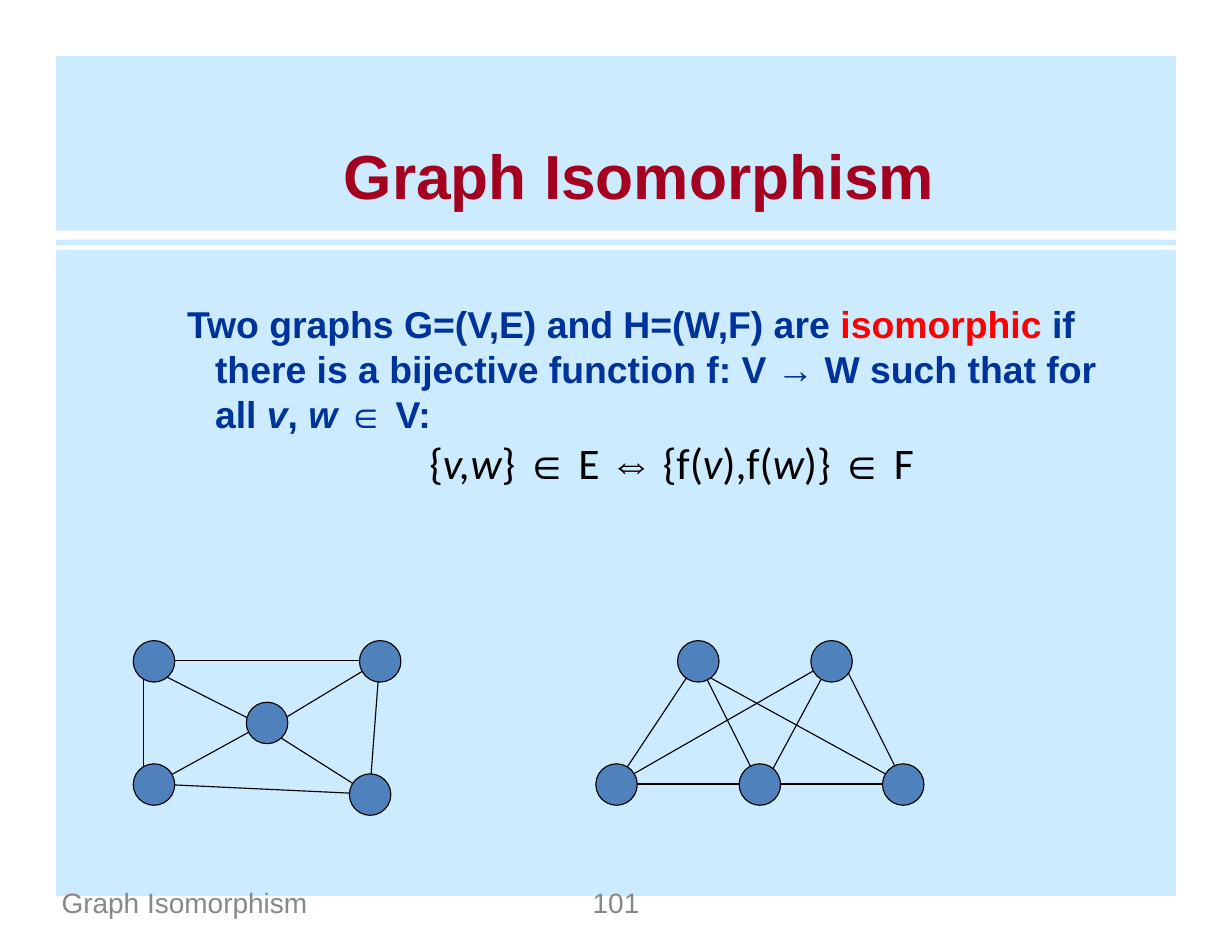
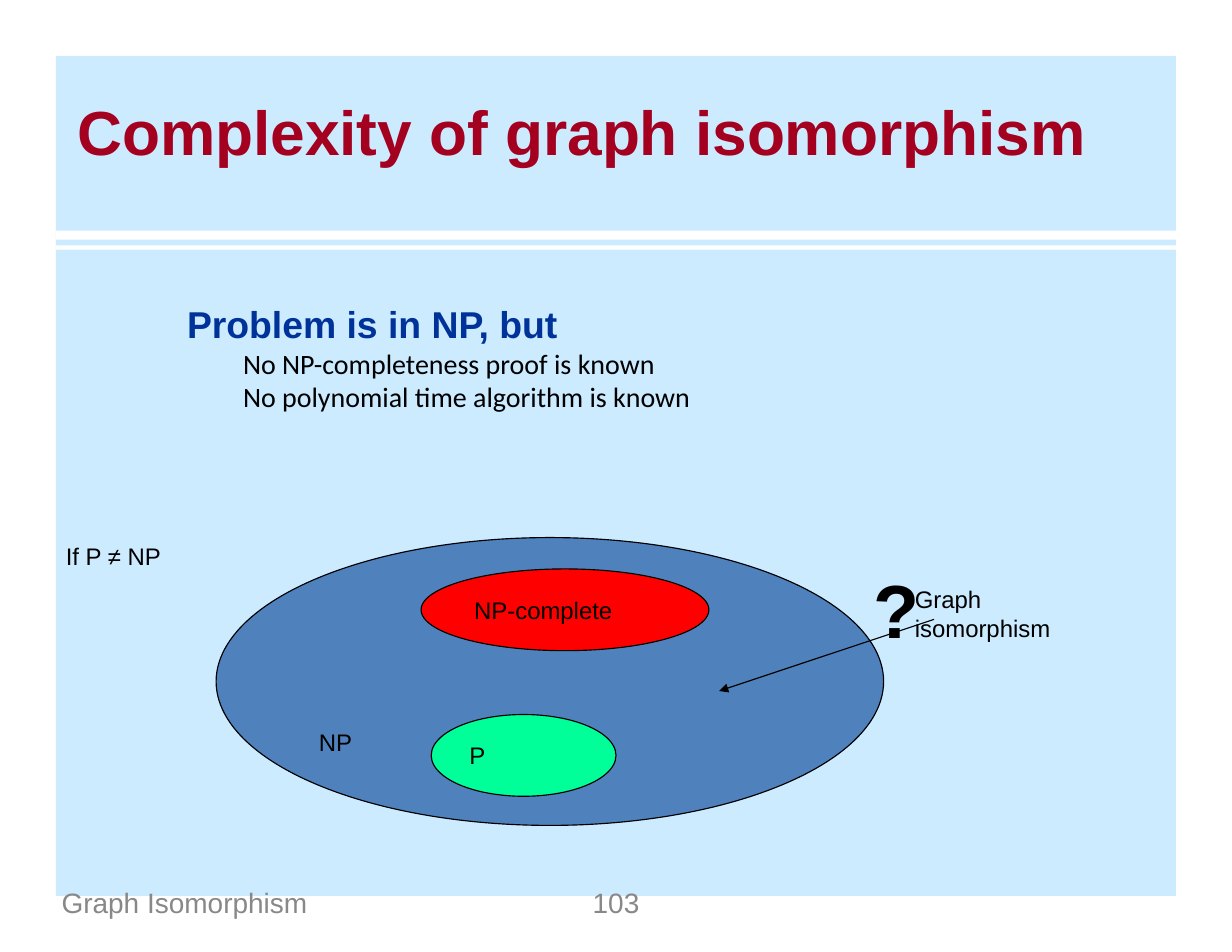
import pptx
import pptx.util
import pptx.dml.color
import pptx.enum.shapes
import pptx.enum.text
import pptx.oxml.ns
import lxml.etree

Inches = pptx.util.Inches
SHAPE = pptx.enum.shapes.MSO_SHAPE
CENTER = pptx.enum.text.PP_ALIGN.CENTER
LEFT = pptx.enum.text.PP_ALIGN.LEFT
COLORS = {
    "white": "FFFFFF", "panel": "CCEBFF", "title": "A40020", "body": "003399",
    "black": "000000", "footer": "888888", "node": "4F81BD", "red": "FF0000", "green": "00FF99",
}


def write(paragraph, text, size=15.4, font="Arial", color="black", bold=False, italic=False):
    run = paragraph.add_run()
    run.text = text
    run.font.size = pptx.util.Pt(size)
    run.font.name = font
    run.font.bold = bold
    run.font.italic = italic
    run.font.color.rgb = pptx.dml.color.RGBColor.from_string(COLORS[color])


def add_filled(slide, kind, box, color, outlined=False):
    shape = slide.shapes.add_shape(kind, *map(Inches, box))
    shape.shadow.inherit = False
    shape.fill.solid()
    shape.fill.fore_color.rgb = pptx.dml.color.RGBColor.from_string(COLORS[color])
    if outlined:
        shape.line.color.rgb = pptx.dml.color.RGBColor.from_string(COLORS["black"])
        shape.line.width = pptx.util.Pt(0.75)
    else:
        shape.line.fill.background()
    return shape


statement = {"size": 24, "color": "body", "bold": True}
formula = {"size": 28, "font": "Calibri"}
symbol = {"size": 28}
detail = {"size": 18, "font": "Calibri"}

definition = [
    (0, LEFT, [
        ("Two graphs G=(V,E) and H=(W,F) are ", statement),
        ("isomorphic", {**statement, "color": "red"}),
        (" if there is a bijective function f: V → W such that for all ", statement),
        ("v", {**statement, "italic": True}),
        (", ", statement),
        ("w ", {**statement, "italic": True}),
        ("∈ V:", statement),
    ]),
    (1, CENTER, [
        ("{", formula), ("v,w", {**formula, "italic": True}), ("} ", formula), ("∈", symbol),
        (" E ", formula), ("⇔", symbol), (" {f(", formula), ("v", {**formula, "italic": True}),
        ("),f(", formula), ("w", {**formula, "italic": True}), (")} ", formula), ("∈", symbol),
        (" F ", formula),
    ]),
]
complexity = [
    (0, LEFT, [("Problem is in NP, but", statement)]),
    (1, LEFT, [("No NP-completeness proof is known", detail)]),
    (1, LEFT, [("No polynomial time algorithm is known", detail)]),
]

edges = [
    (7.42, 5.9, 5.5, 7), (6.23, 5.99, 8.07, 7), (7.52, 5.9, 8.07, 7), (7.42, 5.9, 6.78, 7.09),
    (6.23, 5.9, 6.78, 7), (6.23, 5.9, 5.5, 7), (5.41, 7, 8.07, 7),
    (2.29, 6.45, 3.3, 7.09), (3.39, 5.9, 2.48, 6.45), (1.38, 7, 3.3, 7.09), (3.39, 5.9, 3.3, 7.09),
    (1.38, 5.99, 2.29, 6.45), (1.38, 7, 2.38, 6.45), (1.28, 5.9, 1.28, 7), (1.38, 5.9, 3.39, 5.9),
]
nodes = [
    (1.19, 5.72), (1.19, 6.82), (2.2, 6.27), (3.21, 5.72), (3.12, 6.91),
    (6.05, 5.72), (7.24, 5.72), (5.32, 6.82), (6.6, 6.82), (7.88, 6.82),
]
node_size = 0.37
graphs = [("line", edge, None, []) for edge in edges]
graphs += [("ellipse", (*node, node_size, node_size), "node", []) for node in nodes]
classes = [
    ("ellipse", (1.93, 4.8, 5.96, 2.57), "node", []),
    ("label", (2.75, 6.45, 0.5, 0.36), {}, ["NP"]),
    ("ellipse", (3.76, 5.08, 2.57, 0.73), "red", ["NP-complete"]),
    ("ellipse", (3.85, 6.38, 1.65, 0.73), "green", ["P"]),
    ("label", (8.07, 5.17, 1.43, 0.62), {}, ["Graph", "isomorphism"]),
    ("line", (8.34, 5.53, 6.42, 6.17), "triangle", []),
    ("label", (0.49, 4.79, 1.06, 0.36), {}, ["If P ≠ NP"]),
    ("label", (7.7, 4.98, 0.62, 0.92), {"size": 48.4, "bold": True}, ["?"]),
]

pages = [
    ("Graph Isomorphism", (3.07, 1.23, 6.14, 1.35), (1.42, 2.69, 8.49, 1.68), definition, graphs, "101"),
    ("Complexity of graph isomorphism", (0.69, 0.83, 9.68, 2.02), (1.42, 2.69, 7.8, 1.01),
     complexity, classes, "103"),
]
bands = [
    ((0.5, 0.5, 10, 7.5), "panel"),
    ((0.5, 2.06, 10, 0.08), "white"),
    ((0.5, 2.19, 10, 0.04), "white"),
]
footer = {"size": 18, "color": "footer"}
heading = {"size": 40, "color": "title", "bold": True}

presentation = pptx.Presentation()
presentation.slide_width = Inches(11)
presentation.slide_height = Inches(8.5)

for title, title_box, body_box, body, drawing, number in pages:
    slide = presentation.slides.add_slide(presentation.slide_layouts[6])
    for box, color in bands:
        add_filled(slide, SHAPE.RECTANGLE, box, color)

    blocks = [
        ((0.55, 7.91, 2.53, 0.3), [(None, LEFT, [("Graph Isomorphism", footer)])]),
        ((3.74, 7.91, 3.52, 0.3), [(None, CENTER, [(number, footer)])]),
        (title_box, [(None, LEFT, [(title, heading)])]),
        (body_box, body),
    ]
    for box, paragraphs in blocks:
        frame = slide.shapes.add_textbox(*map(Inches, box)).text_frame
        frame.word_wrap = True
        frame.margin_left = frame.margin_right = frame.margin_top = frame.margin_bottom = 0
        for index, (level, alignment, runs) in enumerate(paragraphs):
            paragraph = frame.add_paragraph() if index else frame.paragraphs[0]
            paragraph.alignment = alignment
            if level is not None:
                paragraph.level = level
                properties = paragraph._p.get_or_add_pPr()
                properties.set("marL", str(Inches(0.5 + 0.5 * level)))
                properties.set("indent", str(Inches(-0.25)))
            for text, style in runs:
                write(paragraph, text, **style)

    for kind, place, style, lines in drawing:
        if kind == "line":
            connector = slide.shapes.add_connector(
                pptx.enum.shapes.MSO_CONNECTOR.STRAIGHT, *map(Inches, place))
            connector.line.color.rgb = pptx.dml.color.RGBColor.from_string(COLORS["black"])
            connector.line.width = pptx.util.Pt(0.75)
            if style:
                arrowhead = lxml.etree.SubElement(
                    connector.line._get_or_add_ln(), pptx.oxml.ns.qn("a:tailEnd"))
                arrowhead.set("type", style)
            lxml.etree.SubElement(connector._element.spPr, pptx.oxml.ns.qn("a:effectLst"))
            continue
        if kind == "ellipse":
            shape = add_filled(slide, SHAPE.OVAL, place, style, outlined=True)
            shape.text_frame.vertical_anchor = pptx.enum.text.MSO_ANCHOR.MIDDLE
        else:
            shape = slide.shapes.add_textbox(*map(Inches, place))
        shape.text_frame.word_wrap = False
        for index, text in enumerate(lines):
            paragraph = shape.text_frame.add_paragraph() if index else shape.text_frame.paragraphs[0]
            paragraph.alignment = LEFT
            write(paragraph, text, **(style if kind == "label" else {}))

presentation.save("out.pptx")
